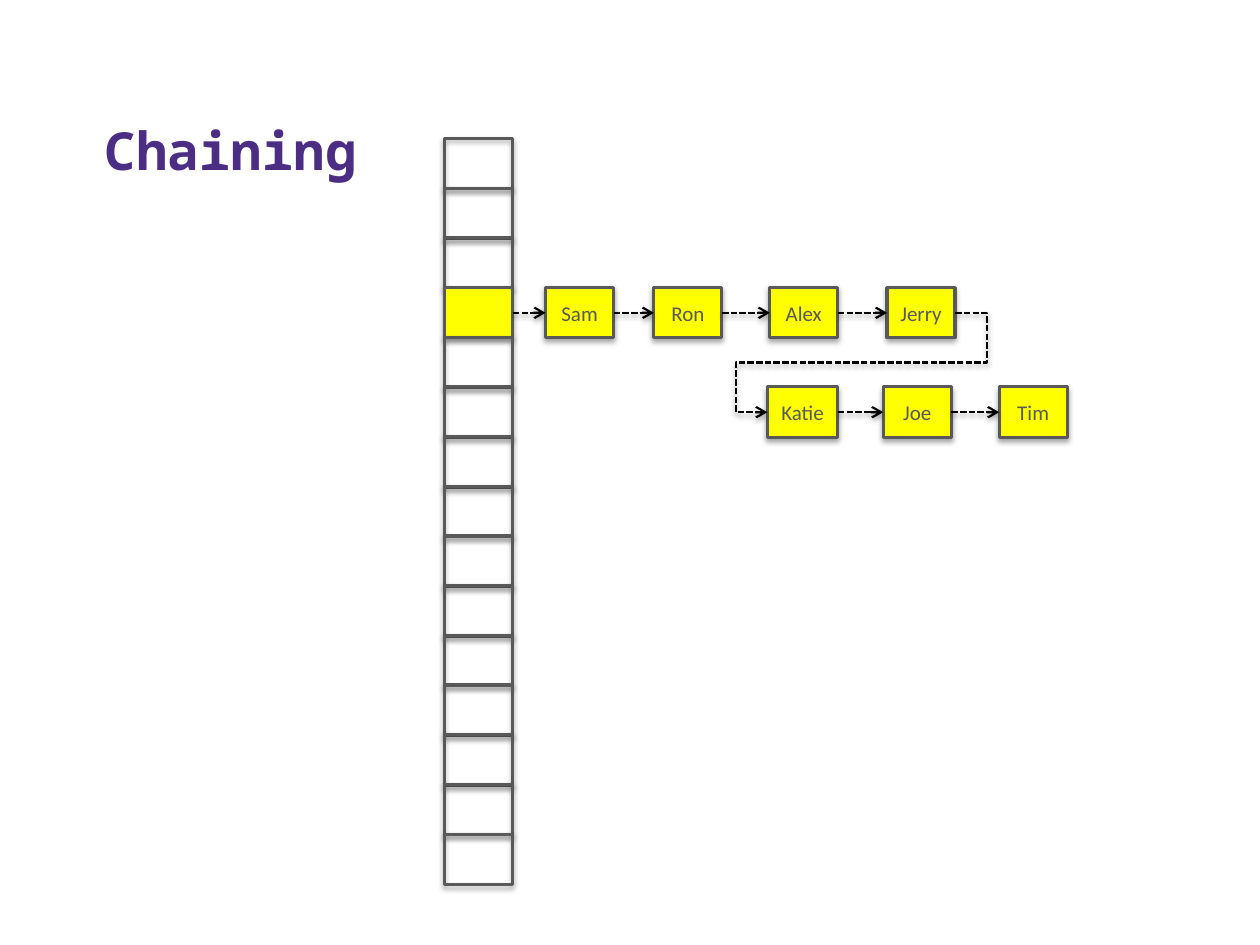
import pptx
import pptx.dml.color
import pptx.enum.dml
import pptx.enum.shapes
import pptx.enum.text
import pptx.oxml.ns
import pptx.util
from lxml import etree

Inches, Pt = pptx.util.Inches, pptx.util.Pt
MSO_CONNECTOR = pptx.enum.shapes.MSO_CONNECTOR
qn = pptx.oxml.ns.qn

TITLE = "Chaining"
SLOT_COUNT, USED_SLOT, CHAIN_ROW_2 = 15, 3, 5
SLOT_X, SLOT_TOP, LAST_SLOT_TOP = 3.53, 1.1, 6.62
PITCH = (LAST_SLOT_TOP - SLOT_TOP) / (SLOT_COUNT - 1)
W, H = 0.54, 0.4
# name, left, width, slot whose row it shares
NODES = [
    ("Sam", 4.33, W, USED_SLOT),
    ("Ron", 5.19, W, USED_SLOT),
    ("Alex", 6.11, W, USED_SLOT),
    ("Jerry", 7.04, W, USED_SLOT),
    ("Katie", 6.09, 0.56, CHAIN_ROW_2),
    ("Joe", 7.01, W, CHAIN_ROW_2),
    ("Tim", 7.93, W, CHAIN_ROW_2),
]
WRAP_ADJUST = (-16900, 50000, 116900)


def rgb(value):
    return pptx.dml.color.RGBColor.from_string(value)


def add_shadow(shape, alpha, dist):
    """Append a soft shadow falling straight down; fill and line come first."""
    effects = etree.SubElement(shape._element.spPr, qn("a:effectLst"))
    shadow = etree.SubElement(effects, qn("a:outerShdw"), blurRad=str(Pt(3.1)),
                              dist=str(Pt(dist)), dir="5400000", rotWithShape="0")
    color = etree.SubElement(shadow, qn("a:srgbClr"), val="000000")
    etree.SubElement(color, qn("a:alpha"), val=str(alpha * 1000))


def add_box(s, left, row, width=W, fill=None, text=None):
    sp = s.shapes.add_shape(pptx.enum.shapes.MSO_SHAPE.RECTANGLE, Inches(left),
                            Inches(SLOT_TOP + row * PITCH), Inches(width), Inches(H))
    if fill:
        sp.fill.solid()
        sp.fill.fore_color.rgb = rgb(fill)
    else:
        sp.fill.background()
    sp.line.color.rgb = rgb("595959")
    sp.line.width = Pt(1.75)
    add_shadow(sp, 35, 1.8)
    if text:
        tf = sp.text_frame
        tf.margin_left = tf.margin_right = 0
        tf.vertical_anchor = pptx.enum.text.MSO_ANCHOR.MIDDLE
        p = tf.paragraphs[0]
        p.alignment = pptx.enum.text.PP_ALIGN.CENTER
        add_run(p, text, "Calibri", 12, "595959")
    return sp


def add_run(p, text, font, size, color, bold=False):
    r = p.add_run()
    r.text = text
    r.font.name, r.font.size, r.font.bold = font, Pt(size), bold
    r.font.color.rgb = rgb(color)


def link(s, a, b):
    """Dashed arrow from a's right side to b's left side, wrapping if b is lower."""
    wraps = b.top > a.top
    kind = MSO_CONNECTOR.ELBOW if wraps else MSO_CONNECTOR.STRAIGHT
    c = s.shapes.add_connector(kind, a.left + a.width, a.top + a.height // 2,
                               b.left, b.top + b.height // 2)
    c.begin_connect(a, 3)
    c.end_connect(b, 1)
    if wraps:
        geom = c._element.spPr.find(qn("a:prstGeom"))
        geom.set("prst", "bentConnector5")
        guides = geom.find(qn("a:avLst"))
        for i, value in enumerate(WRAP_ADJUST, 1):
            etree.SubElement(guides, qn("a:gd"), name=f"adj{i}", fmla=f"val {value}")
    c.line.color.rgb = rgb("000000")
    c.line.width = Pt(1.25)
    c.line.dash_style = pptx.enum.dml.MSO_LINE.SQUARE_DOT
    etree.SubElement(c.line._get_or_add_ln(), qn("a:tailEnd"), type="arrow")
    add_shadow(c, 38, 1.6)


def main():
    prs = pptx.Presentation()
    prs.slide_width, prs.slide_height = Inches(10), Inches(7.5)
    s = prs.slides.add_slide(prs.slide_layouts[5])

    title = s.shapes.title
    title.left, title.top = Inches(0.73), Inches(0.41)
    title.width, title.height = Inches(8.95), Inches(1.08)
    tf = title.text_frame
    tf.auto_size = pptx.enum.text.MSO_AUTO_SIZE.NONE
    tf.vertical_anchor = pptx.enum.text.MSO_ANCHOR.BOTTOM
    p = tf.paragraphs[0]
    p.alignment = pptx.enum.text.PP_ALIGN.LEFT
    add_run(p, TITLE, "Noto Sans Mono", 30, "4B2E83", bold=True)

    slots = [add_box(s, SLOT_X, i, fill="FFFF00" if i == USED_SLOT else None)
             for i in range(SLOT_COUNT)]
    chain = [slots[USED_SLOT]]
    for name, left, width, row in NODES:
        chain.append(add_box(s, left, row, width, "FFFF00", name))
    for a, b in zip(chain, chain[1:]):
        link(s, a, b)

    prs.save("out.pptx")


if __name__ == "__main__":
    main()
